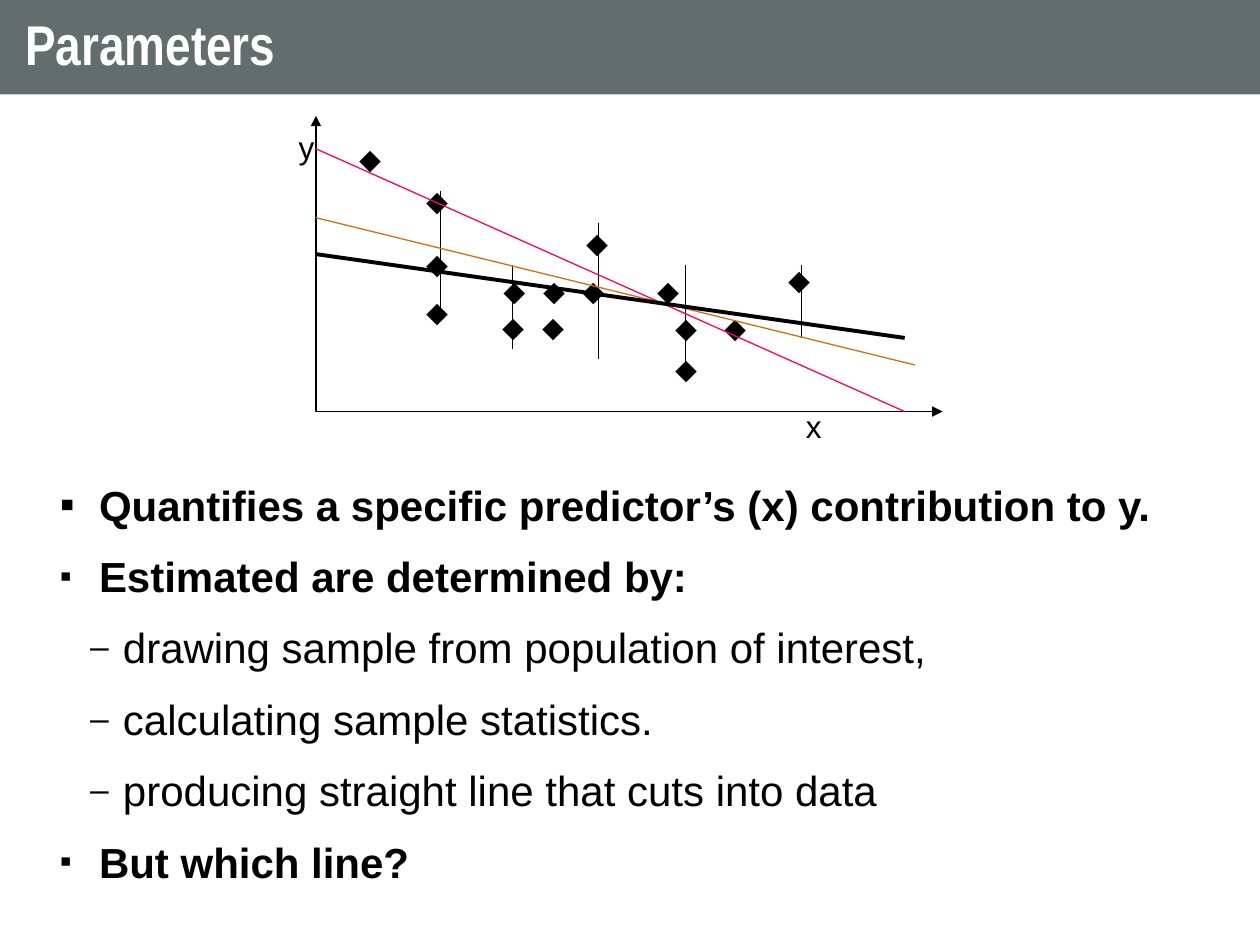
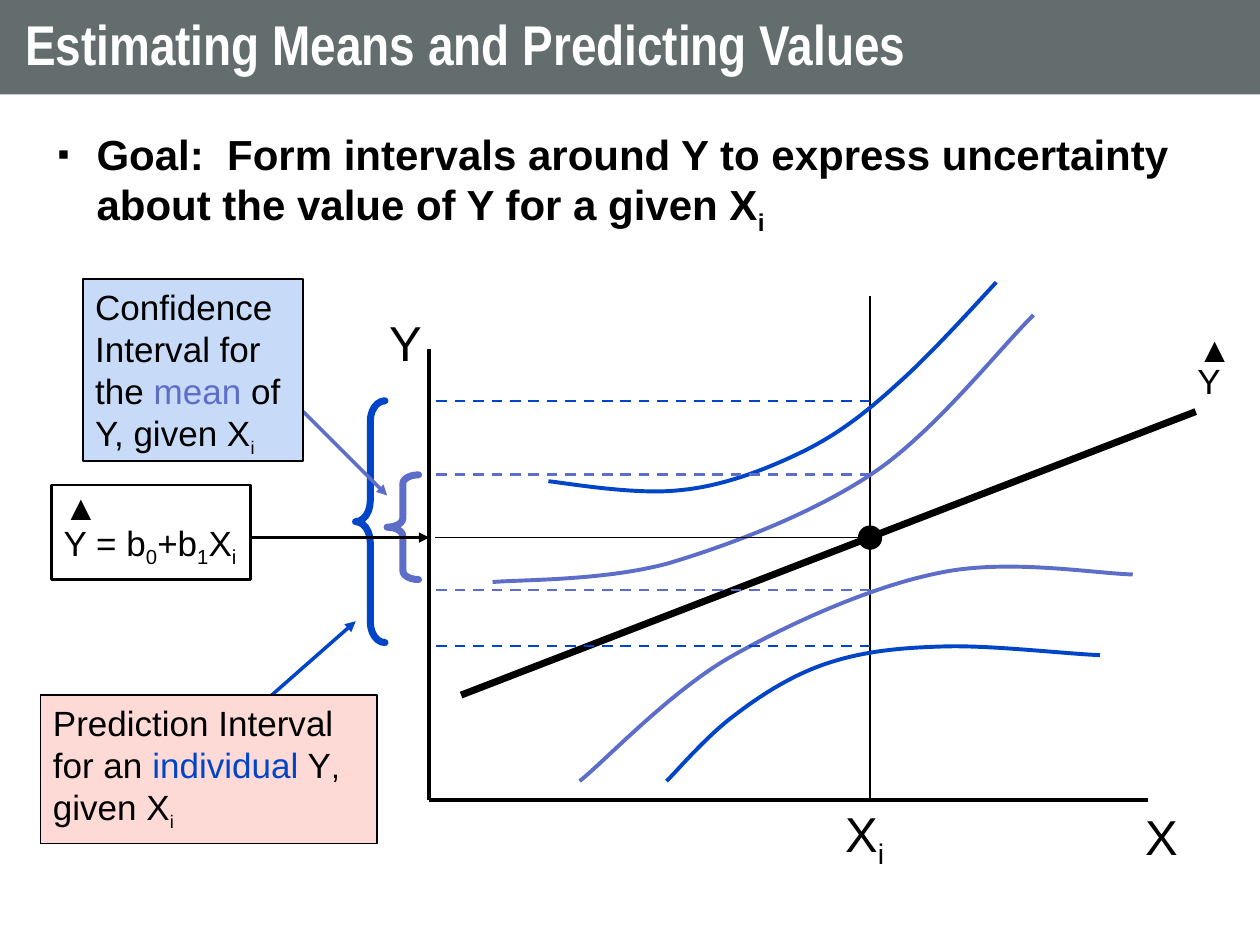
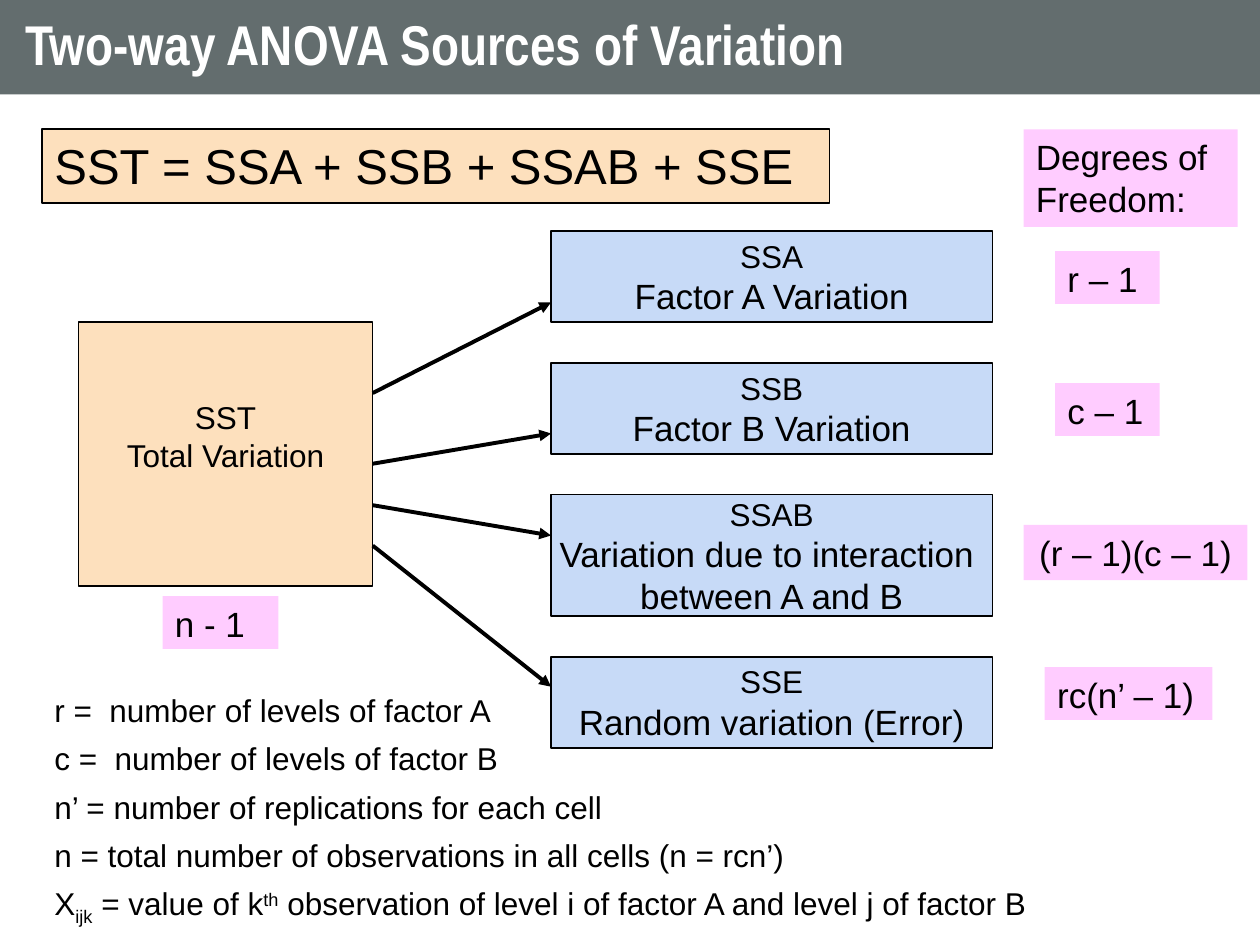
from dataclasses import dataclass

from lxml import etree
from pptx import Presentation
from pptx import util as u
from pptx.dml.color import RGBColor
from pptx.enum import dml, shapes, text
from pptx.oxml import ns


@dataclass(frozen=True)
class Theme:
    black: str = "000000"
    white: str = "FFFFFF"
    band: str = "636D6E"
    blue: str = "0045C7"
    violet: str = "5D6EC9"
    orange: str = "D06F1A"
    pink: str = "FF0066"
    sky: str = "C7DAF7"
    rose: str = "FEDAD6"
    peach: str = "FDE0BD"
    lilac: str = "FFCCFF"
    sans: str = "Arial"
    narrow: str = "Arial Narrow"
    serif: str = "Times New Roman"
    head: int = 32
    large: int = 28
    body: int = 24
    label: int = 20
    small: int = 18


T = Theme()
LEFT, MID = text.PP_ALIGN.LEFT, text.PP_ALIGN.CENTER
TOP, CORE = text.MSO_ANCHOR.TOP, text.MSO_ANCHOR.MIDDLE
SUB = {"base": -25}
SUP = {"base": 30}


def rgb(code):
    return RGBColor.from_string(code)


def sub(node, tag, **attrs):
    return etree.SubElement(node, ns.qn(tag), attrs)


def write(shape, paras, align=LEFT, anchor=TOP, inset=(7.2, 3.6, 7.2, 3.6),
          wrap=True, after=0, lead=None, **fmt):
    frame = shape.text_frame
    frame.auto_size = text.MSO_AUTO_SIZE.NONE
    frame.word_wrap = wrap
    frame.vertical_anchor = anchor
    (frame.margin_left, frame.margin_top,
     frame.margin_right, frame.margin_bottom) = map(u.Pt, inset)
    base = dict(size=T.small, font=T.sans, color=T.black, bold=False, base=0)
    for i, runs in enumerate(paras):
        para = frame.paragraphs[0] if i == 0 else frame.add_paragraph()
        para.alignment = align
        para.space_before = u.Pt(0)
        para.space_after = u.Pt(after)
        if lead:
            para.line_spacing = lead
        for item in [runs] if isinstance(runs, (str, tuple)) else runs:
            words, own = (item, {}) if isinstance(item, str) else item
            look = {**base, **fmt, **own}
            run = para.add_run()
            run.text = words
            run.font.name = look["font"]
            run.font.size = u.Pt(look["size"])
            run.font.bold = look["bold"]
            run.font.color.rgb = rgb(look["color"])
            if look["base"]:
                run._r.get_or_add_rPr().set("baseline", str(look["base"] * 1000))
    return frame


def bullet(para, mark="▪", left=22.3, hang=22.3, scale=80):
    props = para._p.get_or_add_pPr()
    props.set("marL", str(u.Pt(left)))
    props.set("indent", str(-u.Pt(hang)))
    sub(sub(props, "a:buClr"), "a:srgbClr", val=T.black)
    sub(props, "a:buSzPct", val=str(scale * 1000))
    sub(props, "a:buFont", typeface=T.sans)
    sub(props, "a:buChar", char=mark)


def paint(shape, fill=None, line=None, width=1):
    shape.shadow.inherit = False
    if fill:
        shape.fill.solid()
        shape.fill.fore_color.rgb = rgb(fill)
    else:
        shape.fill.background()
    if line:
        shape.line.color.rgb = rgb(line)
        shape.line.width = u.Pt(width)
    else:
        shape.line.fill.background()


def form(slide, kind, x, y, w, h, **look):
    shape = slide.shapes.add_shape(kind, *map(u.Pt, (x, y, w, h)))
    paint(shape, **look)
    return shape


def box(slide, place, paras, fill=None, line=None, **fmt):
    if fill or line:
        shape = form(slide, shapes.MSO_SHAPE.RECTANGLE, *place, fill=fill, line=line)
    else:
        shape = slide.shapes.add_textbox(*map(u.Pt, place))
    return write(shape, paras, **fmt)


def stroke(shape):
    return shape._element.spPr.find(ns.qn("a:ln"))


def tips(shape, *ends):
    for end in ends:
        sub(stroke(shape), "a:" + end, type="triangle")


def rule(slide, x1, y1, x2, y2, color=T.black, width=1, arrow=False, dash=False):
    line = slide.shapes.add_connector(
        shapes.MSO_CONNECTOR.STRAIGHT, *map(u.Pt, (x1, y1, x2, y2)))
    line.line.color.rgb = rgb(color)
    line.line.width = u.Pt(width)
    if dash:
        line.line.dash_style = dml.MSO_LINE.DASH
    if arrow:
        tips(line, "tailEnd")
    sub(line._element.spPr, "a:effectLst")


def trace(slide, points, color=T.black, width=1):
    spots = [(x * 100, y * 100) for x, y in points]
    pen = slide.shapes.build_freeform(*spots[0], scale=u.Pt(0.01))
    pen.add_line_segments(spots[1:], close=False)
    shape = pen.convert_to_shape()
    paint(shape, line=color, width=width)
    return shape


def curve(slide, knots, color):
    shape = trace(slide, knots, color, 2.25)
    track = next(shape._element.iter(ns.qn("a:path")))
    legs = track.findall(ns.qn("a:lnTo"))
    for i in range(0, len(legs), 3):
        bend = sub(track, "a:cubicBezTo")
        for leg in legs[i:i + 3]:
            bend.append(leg[0])
            track.remove(leg)


def brace(slide, x, y, w, h, curl, color):
    shape = form(slide, shapes.MSO_SHAPE.LEFT_BRACE, x, y, w, h, line=color, width=4)
    shape.adjustments[0] = curl
    stroke(shape).set("cap", "rnd")


def dots(slide, x, y, *stops):
    row = "\t".join("⬥" * (len(stops) + 1))
    wide = 26.6 + max(stops, default=0)
    frame = box(slide, (x - 13.3, y - 16, wide, 28.8), [row], wrap=False)
    if stops:
        tabs = sub(frame.paragraphs[0]._p.get_or_add_pPr(), "a:tabLst")
        for stop in stops:
            sub(tabs, "a:tab", pos=str(u.Pt(stop)), algn="l")


def hat(slide, x, y, runs, wide, cap, rise):
    box(slide, (x, y, wide, 31), [runs], size=T.label, wrap=False)
    box(slide, (x, y - rise, cap, 31), ["▲"], size=T.label, font=T.serif,
        bold=True, wrap=False)


def start(deck, title):
    slide = deck.slides.add_slide(deck.slide_layouts[5])
    band = slide.shapes.title
    band.left, band.top, band.width, band.height = map(u.Pt, (0, 0, 720, 54))
    band.fill.solid()
    band.fill.fore_color.rgb = rgb(T.band)
    write(band, [title], anchor=CORE, inset=(14.4, 7.2, 14.4, 7.2), lead=0.9,
          size=T.head, font=T.narrow, color=T.white, bold=True)
    return slide


def fit(deck):
    slide = start(deck, "Parameters")
    plain = {"bold": False}
    frame = box(slide, (27.2, 270.3, 648, 201.6), [
        "Quantifies a specific predictor’s (x) contribution to y.",
        "Estimated are determined by:",
        ("drawing sample from population of interest,", plain),
        ("calculating sample statistics.", plain),
        ("producing straight line that cuts into data", plain),
        "But which line?",
    ], size=T.body, bold=True, after=12)
    for i, para in enumerate(frame.paragraphs):
        if 2 <= i <= 4:
            bullet(para, "–", 36, 18.7)
        else:
            bullet(para, scale=80 if i else 100)
    axes = trace(slide, [(180.5, 66.2), (180.5, 235.2), (538.6, 235.2)], width=0.75)
    tips(axes, "headEnd", "tailEnd")
    for row in [(211.4, 92), (249.7, 116), (249.7, 152), (249.7, 179.5),
                (293.8, 167.5, 22.8, 45.2, 87.9), (341.2, 140), (392, 188.6, 28),
                (456.6, 161.2), (293.2, 188, 22.8), (392, 212)]:
        dots(slide, *row)
    for x, top, end in [(251.8, 109.2, 181.4), (293, 151.2, 199.4), (342, 127.2, 205.2),
                        (391.7, 151.2, 217.4), (457.9, 151.2, 193)]:
        rule(slide, x, top, x, end, width=0.75)
    for top, x, end, color, width in [(124.4, 522.9, 208.6, T.orange, 0.75),
                                      (85, 517, 235.2, T.pink, 0.75),
                                      (145.2, 517, 193.1, T.black, 2.25)]:
        rule(slide, 180.5, top, x, end, color, width)
    for name, x, y in [("x", 453.4, 229), ("y", 163.6, 69.8)]:
        box(slide, (x, y, 23, 28.8), [name], wrap=False)


def span(deck):
    slide = start(deck, "Estimating Means and Predicting Values")
    frame = box(slide, (25.8, 69.8, 670.3, 392.4), [[
        "Goal:  Form intervals around Y to express uncertainty "
        "about the value of Y for a given X", ("i", SUB)]], size=T.body, bold=True)
    bullet(frame.paragraphs[0])
    rule(slide, 245.3, 199.2, 245.3, 457.2, width=2)
    rule(slide, 245.3, 457.2, 656, 457.2, width=2)
    rule(slide, 263.5, 397.2, 683.3, 235.2, width=4)
    rule(slide, 497.3, 169.2, 497.3, 457.2)
    for runs, x, y, wide, pad in [("Y", 215.3, 175, 50.4, 7.2),
                                  ("X", 647.3, 457.2, 72.7, 7.2),
                                  (["X", ("i", SUB)], 460.8, 455.5, 67, 22.2)]:
        box(slide, (x, y, wide, 40.3), [runs], size=T.large,
            inset=(pad, 3.6, 7.2, 3.6))
    brace(slide, 203.2, 229, 16.8, 138.2, 0.7, T.blue)
    rule(slide, 155.3, 397.2, 203.3, 355, T.blue, 2, arrow=True)
    brace(slide, 221.2, 271.4, 18, 59.8, 0.28, T.violet)
    rule(slide, 173.3, 235.2, 221.3, 283.2, T.violet, 2, arrow=True)
    hat(slide, 29.3, 294.2, ["Y = b", ("0", SUB), "+b", ("1", SUB), "X", ("i", SUB)],
        126, 83.5, 20.5)
    for color, knots in [
        (T.violet, [(331.2, 446.4), (345.6, 434.9), (381.6, 396.7), (415.4, 376.6),
                    (449.3, 357.1), (496.8, 335.5), (535.7, 327.6),
                    (574.6, 319), (624.2, 327.6), (647.3, 328.3)]),
        (T.blue, [(380.9, 446.4), (387.4, 439.9), (404.6, 419.8), (420.5, 408.2),
                  (435.6, 396.7), (453.6, 385.2), (473.8, 378.7),
                  (493.9, 372.2), (514.1, 370.1), (540, 369.4),
                  (565.9, 368.6), (609.8, 373.7), (628.6, 374.4)]),
        (T.blue, [(313.4, 275), (326.2, 276.5), (364.3, 283), (388.8, 280.1),
                  (412.6, 277.9), (437, 268.6), (457.9, 258.5),
                  (478.8, 248.4), (495.4, 235.4), (513.4, 218.9),
                  (532.1, 202.3), (558, 173.5), (569.3, 161.3)]),
        (T.violet, [(281.5, 332.6), (298.1, 331.2), (345.6, 331.9), (382.3, 321.8),
                    (418.3, 311), (465.8, 293), (500.4, 269.3),
                    (535, 245.5), (571.7, 198.7), (590.6, 180)]),
    ]:
        curve(slide, knots, color)
    low = {"size": T.small, **SUB}
    box(slide, (47.3, 159.6, 126, 103.9), [[
        "Confidence Interval for the ", ("mean", {"color": T.violet}),
        " of Y, given X", ("i", low)]], fill=T.sky, line=T.black, size=T.label)
    rule(slide, 497.3, 307.2, 248.4, 307.2)
    form(slide, shapes.MSO_SHAPE.OVAL, 491, 301, 12.4, 12.4,
         fill=T.black, line=T.black, width=1.5)
    box(slide, (23.2, 397.2, 192.2, 84.8), [[
        "Prediction Interval for an ", ("individual", {"color": T.blue}), " Y",
        (",", {"size": T.small}), " given X", ("i", low)]],
        fill=T.rose, line=T.black, size=T.label)
    for y, color in [(229.2, T.blue), (369.2, T.blue), (337.2, T.violet),
                     (271, T.violet)]:
        rule(slide, 497.3, y, 248.4, y, color, 1.5, dash=True)
    rule(slide, 143.3, 307.2, 245.3, 307.2, width=1.5, arrow=True)
    form(slide, shapes.MSO_SHAPE.RECTANGLE, 29.3, 277.2, 114, 54,
         line=T.black, width=1.5)
    hat(slide, 677.2, 202, "Y", 21.6, 30.2, 18.2)


def anova(deck):
    slide = start(deck, "Two-way ANOVA Sources of Variation")
    mid = dict(line=T.black, align=MID, anchor=CORE, wrap=False)
    box(slide, (44.9, 184.1, 168, 150.7), ["SST", "Total Variation"],
        fill=T.peach, inset=(7.2, 3.6, 7.2, 24.5), **mid)
    parts = [
        ("SSA", ["Factor A Variation"], 132, 52, 224.6, 172.8),
        ("SSB", ["Factor B Variation"], 207.5, 52, 265, 247.7),
        ("SSAB", ["Variation due to interaction ", "between A and B"],
         282.6, 69.6, 288.7, 306),
        ("SSE", ["Random variation (Error)"], 375.4, 52, 311.8, 392.4),
    ]
    for name, lines, y, h, *_ in parts:
        rows = [name] + [(row, {"size": T.label}) for row in lines]
        box(slide, (314.9, y, 252.2, h), rows, fill=T.sky, **mid)
    for *_, tail, tip in parts:
        rule(slide, 213, tail, 314.9, tip, width=2.25, arrow=True)
    for words, x, y, w, h in [
        ("Degrees of Freedom:", 584.9, 73.9, 122.4, 55.7),
        ("r – 1", 602.9, 143.5, 59.8, 30.2),
        ("c – 1", 602.9, 218.9, 59.8, 30.2),
        ("(r – 1)(c – 1)", 584.9, 300, 128, 31.5),
        ("rc(n’ – 1)", 597, 381.2, 95.8, 30.2),
        ("n - 1", 92.9, 340.6, 66.2, 30.2),
    ]:
        box(slide, (x, y, w, h), [words], fill=T.lilac, size=T.label,
            align=MID if words.startswith("(") else LEFT)
    box(slide, (24, 73.9, 450, 42), ["SST = SSA + SSB + SSAB + SSE"],
        fill=T.peach, line=T.black, size=T.large)
    box(slide, (24, 391.3, 671.8, 140.4), [
        "r =  number of levels of factor A",
        "c =  number of levels of factor B",
        "n’ = number of replications for each cell",
        "n = total number of observations in all cells (n = rcn’)",
        ["X", ("ijk", SUB), " = value of k", ("th", SUP),
         " observation of level i of factor A and level j of factor B"],
    ], after=6)


def main():
    deck = Presentation()
    deck.slide_width, deck.slide_height = u.Pt(720), u.Pt(540)
    fit(deck)
    span(deck)
    anova(deck)
    deck.save("out.pptx")


if __name__ == "__main__":
    main()
